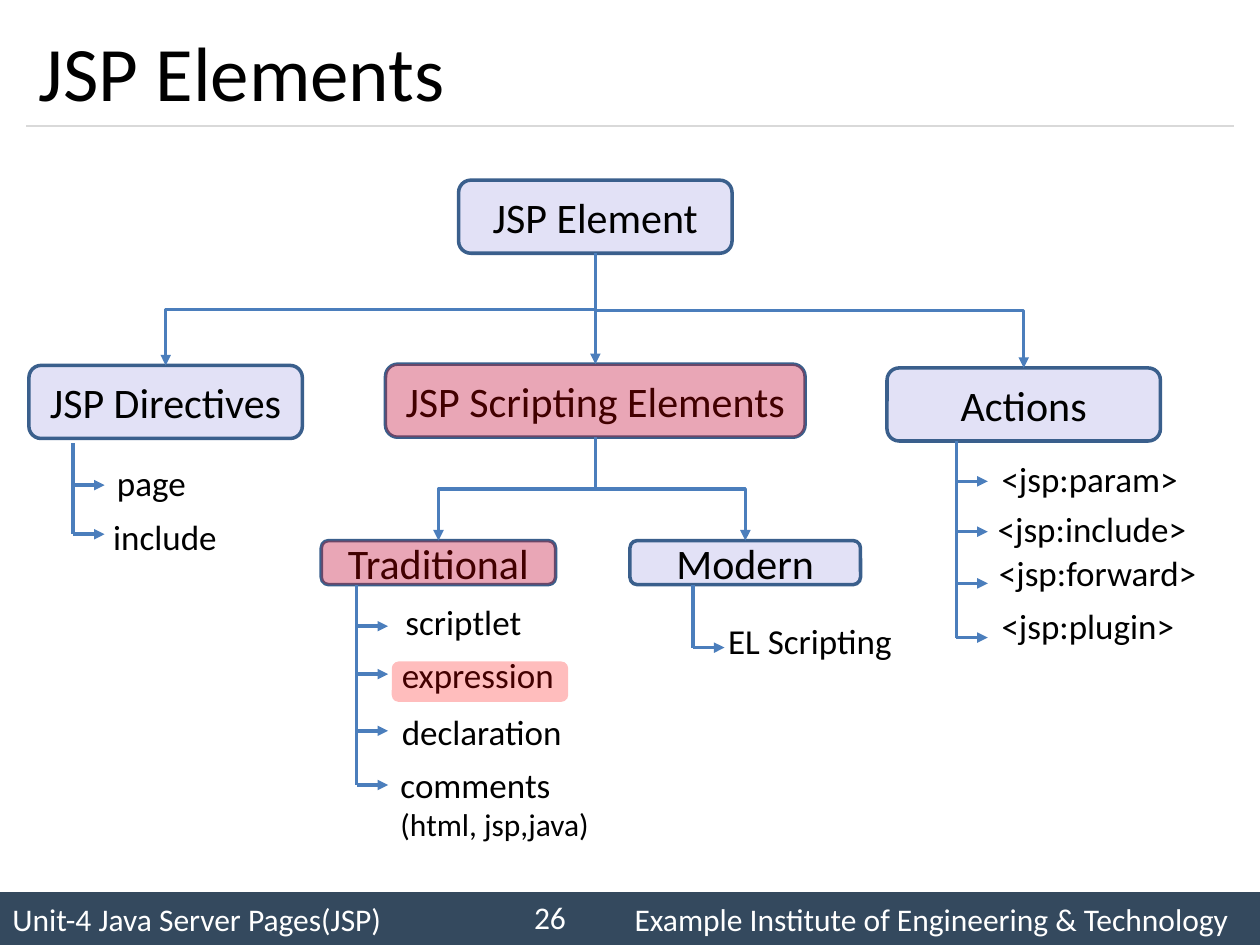
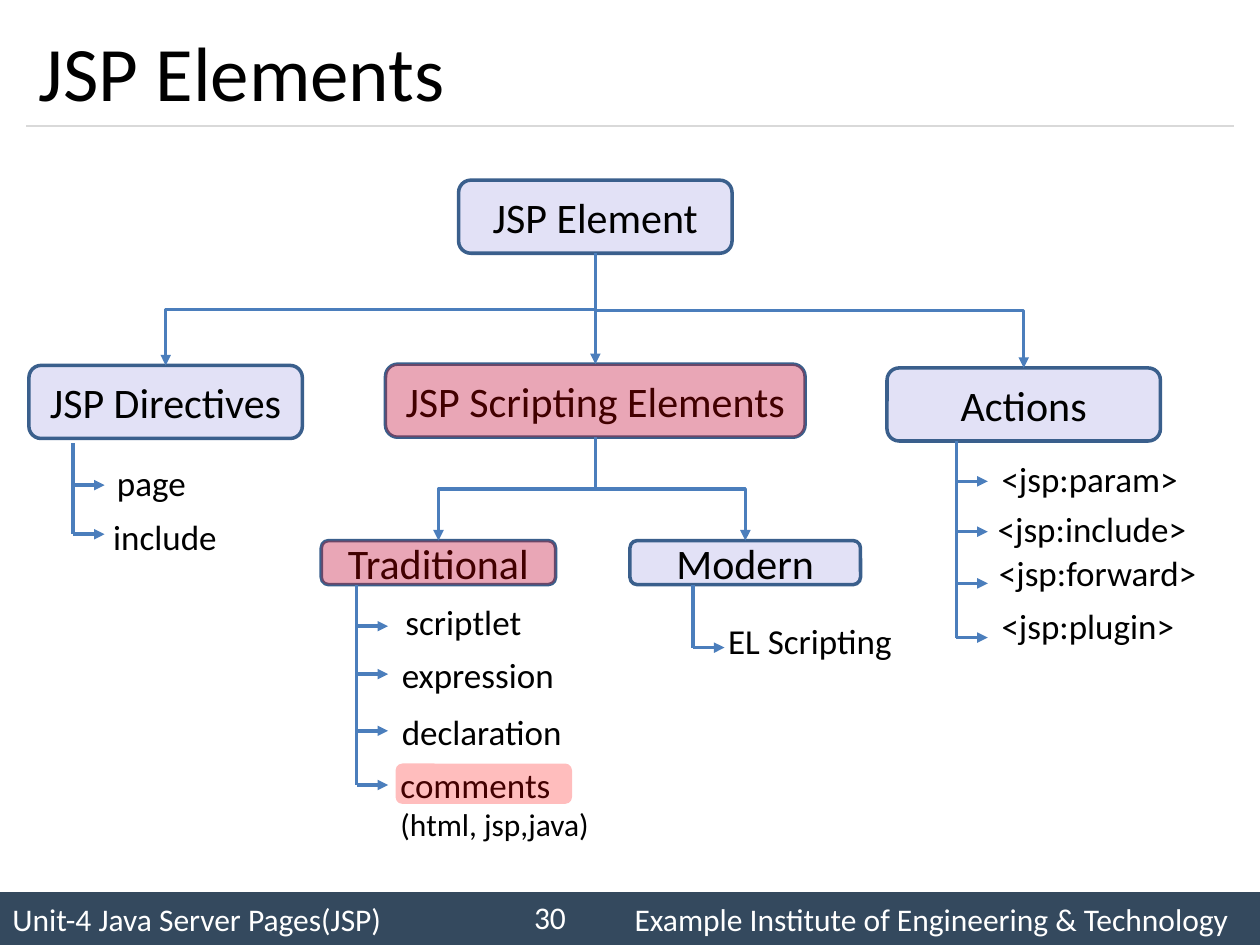
from lxml import etree
from pptx import Presentation
from pptx import util as u
from pptx.dml.color import RGBColor
from pptx.enum import shapes, text
from pptx.oxml.ns import qn

# Content
COLORS = {"ink": "000000", "white": "FFFFFF", "band": "34495E", "rule": "D9D9D9",
          "node": "130BB5", "edge": "3A5F8C", "arrow": "4B7EBC", "mark": "FF0000"}
FONT = "Calibri"
TITLE = "JSP Elements"
FOOTER_LEFT = "Unit-4 Java Server Pages(JSP)"
FOOTER_RIGHT = "Example Institute of Engineering & Technology"

# Slide number and the place of the highlighted list entry
SLIDES = [("26", (3.11, 5.25, 1.4, 0.32)),
          ("30", (3.14, 6.06, 1.4, 0.32))]

NODES = {  # name: left, top, width, height
    "JSP Element": (3.64, 1.43, 2.17, 0.58),
    "JSP Directives": (0.23, 2.9, 2.17, 0.58),
    "JSP Scripting Elements": (3.06, 2.89, 3.33, 0.58),
    "Actions": (7.04, 2.92, 2.17, 0.58),
    "Traditional": (2.55, 4.29, 1.86, 0.35),
    "Modern": (5, 4.29, 1.83, 0.35),
}
LINKS = [("JSP Element", "JSP Directives"),
         ("JSP Element", "JSP Scripting Elements"),
         ("JSP Element", "Actions"),
         ("JSP Scripting Elements", "Traditional"),
         ("JSP Scripting Elements", "Modern")]
MARKED_NODES = ["JSP Scripting Elements", "Traditional"]

# Trunk x, trunk top, entries: (lines, arrow y, left, top, width)
BRANCHES = [
    (0.58, 3.52, [(["page"], 3.85, 0.83, 3.61, 0.75),
                  (["include"], 4.24, 0.8, 4.04, 1.03)]),
    (2.83, 4.64, [(["scriptlet"], 4.97, 3.12, 4.72, 1.13),
                  (["expression"], 5.35, 3.09, 5.14, 1.42),
                  (["declaration"], 5.8, 3.09, 5.59, 1.49),
                  (["comments", "(html, jsp,java)"], 6.23, 3.08, 6.01, 1.71)]),
    (5.5, 4.64, [(["EL Scripting"], 5.14, 5.68, 4.87, 1.52)]),
    (7.59, 3.5, [(["<jsp:param>"], 3.82, 7.85, 3.58, 1.62),
                 (["<jsp:include>"], 4.22, 7.82, 3.98, 1.71),
                 (["<jsp:forward>"], 4.63, 7.83, 4.33, 1.78),
                 (["<jsp:plugin>"], 5.06, 7.85, 4.75, 1.59)]),
]
STUB = 0.25


def rgb(name):
    return RGBColor.from_string(COLORS[name])


def inches(values):
    return [u.Inches(value) for value in values]


# Drawing helpers
def write(box, lines, sizes, color="ink", align=text.PP_ALIGN.LEFT,
          anchor=text.MSO_ANCHOR.MIDDLE, wrap=True):
    frame = box.text_frame
    frame.word_wrap = wrap
    frame.vertical_anchor = anchor
    for index, (line, size) in enumerate(zip(lines, sizes)):
        para = frame.add_paragraph() if index else frame.paragraphs[0]
        para.alignment = align
        span = para.add_run()
        span.text = line
        span.font.name = FONT
        span.font.size = u.Pt(size)
        span.font.color.rgb = rgb(color)


def add_text(page, place, lines, sizes, **style):
    box = page.shapes.add_textbox(*inches(place))
    write(box, lines, sizes, **style)
    return box


def add_block(page, kind, place, fill, opacity=100, edge=None):
    block = page.shapes.add_shape(kind, *inches(place))
    block.shadow.inherit = False
    block.fill.solid()
    block.fill.fore_color.rgb = rgb(fill)
    if opacity < 100:
        tint = block._element.spPr.find(qn("a:solidFill"))[0]
        etree.SubElement(tint, qn("a:alpha"), val=str(opacity * 1000))
    if edge:
        block.line.color.rgb = rgb(edge)
        block.line.width = u.Pt(2)
    else:
        block.line.fill.background()
    return block


def add_line(page, start, end, color="arrow", width=2, arrow=False,
             kind=shapes.MSO_CONNECTOR.STRAIGHT):
    line = page.shapes.add_connector(kind, *inches(start + end))
    line.line.color.rgb = rgb(color)
    line.line.width = u.Pt(width)
    if arrow:
        etree.SubElement(line.line._get_or_add_ln(), qn("a:tailEnd"), type="triangle")
    etree.SubElement(line._element.spPr, qn("a:effectLst"))
    return line


def add_link(page, parent, child, blocks):
    """Join a parent's bottom to a child's top, bending halfway down."""
    left, top, width, height = NODES[parent]
    start = (left + width / 2, top + height)
    left, top, width, height = NODES[child]
    end = (left + width / 2, top)
    across, down = end[0] - start[0], end[1] - start[1]
    straight = abs(across) < 0.01
    kind = shapes.MSO_CONNECTOR.STRAIGHT if straight else shapes.MSO_CONNECTOR.ELBOW
    link = add_line(page, start, end, arrow=True, kind=kind)
    link.begin_connect(blocks[parent], 2)
    link.end_connect(blocks[child], 0)
    if straight:
        return
    # The elbow is laid out sideways and turned to run downwards
    link.left, link.top, link.width, link.height = inches(
        ((start[0] + end[0] - down) / 2, (start[1] + end[1] - abs(across)) / 2,
         down, abs(across)))
    frame = link._element.spPr.find(qn("a:xfrm"))
    frame.set("rot", str((270 if across > 0 else 90) * 60000))
    frame.set("flipH", "1" if across > 0 else "0")
    frame.set("flipV", "0")


# Slide parts
def add_frame(page, number):
    add_block(page, shapes.MSO_SHAPE.RECTANGLE, (0, 7.08, 10, 0.42), "band")
    add_line(page, (0.21, 1), (9.79, 1), "rule", 0.75)
    add_text(page, (0.21, 0.12, 9.58, 0.88), [TITLE], [44])
    add_text(page, (0, 7.08, 3.9, 0.42), [FOOTER_LEFT], [18], color="white")
    right = text.PP_ALIGN.RIGHT
    add_text(page, (3.92, 7.08, 0.67, 0.4), [number], [18], color="white", align=right)
    add_text(page, (4.75, 7.08, 5.1, 0.42), [FOOTER_RIGHT], [18], color="white", align=right)


def add_tree(page):
    blocks = {}
    for name, place in NODES.items():
        blocks[name] = add_block(page, shapes.MSO_SHAPE.ROUNDED_RECTANGLE, place,
                                 "node", 12, "edge")
        write(blocks[name], [name], [24], align=text.PP_ALIGN.CENTER)
    for parent, child in LINKS:
        add_link(page, parent, child, blocks)


def add_branches(page):
    for x, top, entries in BRANCHES:
        add_line(page, (x, top), (x, entries[-1][1]))
        for lines, y, left, label_top, width in entries:
            add_line(page, (x, y), (x + STUB, y), arrow=True)
            height = 0.44 + 0.3 * (len(lines) - 1)
            label = add_text(page, (left, label_top, width, height), lines, [20, 18],
                             anchor=text.MSO_ANCHOR.TOP, wrap=False)
            label.text_frame.auto_size = text.MSO_AUTO_SIZE.SHAPE_TO_FIT_TEXT


def add_marks(page, entry_place):
    for place in [NODES[name] for name in MARKED_NODES] + [entry_place]:
        add_block(page, shapes.MSO_SHAPE.ROUNDED_RECTANGLE, place, "mark", 26)


def main():
    deck = Presentation()
    deck.slide_width, deck.slide_height = inches((10, 7.5))
    for number, entry_place in SLIDES:
        page = deck.slides.add_slide(deck.slide_layouts[6])
        add_frame(page, number)
        add_tree(page)
        add_branches(page)
        add_marks(page, entry_place)
    deck.save("out.pptx")


if __name__ == "__main__":
    main()
